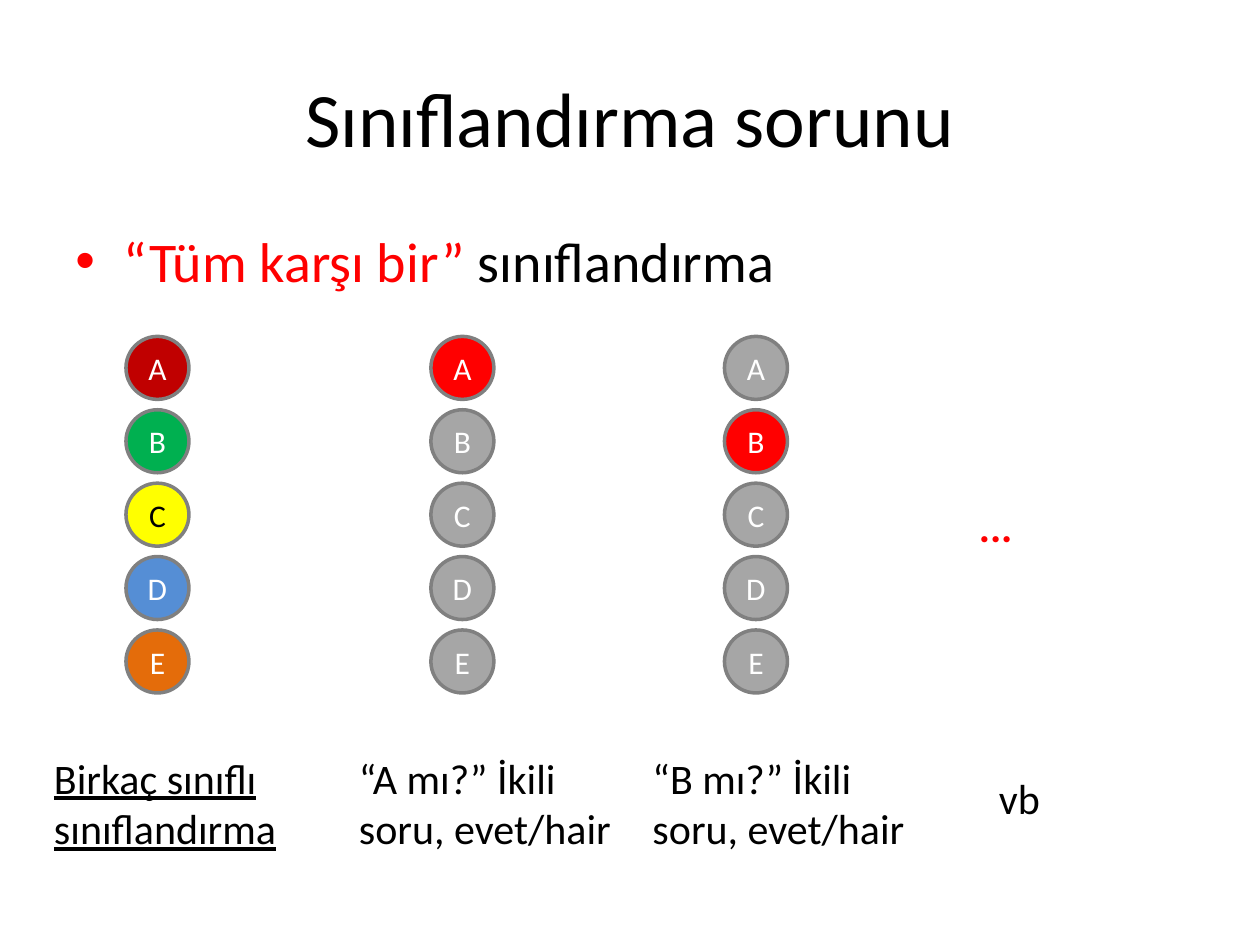
import pptx
import pptx.util
import pptx.dml.color
import pptx.enum.shapes
import pptx.enum.text
from lxml import etree

Inches = pptx.util.Inches
Pt = pptx.util.Pt
RGBColor = pptx.dml.color.RGBColor
ALIGN = pptx.enum.text.PP_ALIGN
ANCHOR = pptx.enum.text.MSO_ANCHOR
OVAL = pptx.enum.shapes.MSO_SHAPE.OVAL

BLACK = RGBColor(0, 0, 0)
WHITE = RGBColor(255, 255, 255)
RED = RGBColor(255, 0, 0)
DARK = RGBColor(0xC0, 0, 0)
GREEN = RGBColor(0, 0xB0, 0x50)
YELLOW = RGBColor(255, 255, 0)
BLUE = RGBColor(0x55, 0x8E, 0xD5)
ORANGE = RGBColor(0xE4, 0x6C, 0x0A)
GRAY = RGBColor(0xA6, 0xA6, 0xA6)
EDGE = RGBColor(0x80, 0x80, 0x80)

FONT = "Calibri"
TITLE = "Sınıflandırma sorunu"
LEAD = [("“Tüm karşı bir” ", RED), ("sınıflandırma", BLACK)]
NAMES = "ABCDE"
COLUMNS = [
    (1, "Birkaç sınıflı sınıflandırma", [DARK, GREEN, YELLOW, BLUE, ORANGE], True),
    (3.42, "“A mı?” İkili soru, evet/hair", [RED] + [GRAY] * 4, False),
    (5.75, "“B mı?” İkili soru, evet/hair", [GRAY, RED] + [GRAY] * 3, False),
]
TOP, STEP, SIZE = 2.67, 0.5825, 0.5
INDENT = 0.38


def style(run, size, color, bold=False, under=False):
    font = run.font
    font.name, font.size, font.color.rgb = FONT, Pt(size), color
    if bold:
        font.bold = True
    if under:
        font.underline = True


def write(slide, box, parts, size, **marks):
    shape = slide.shapes.add_textbox(*map(Inches, box))
    frame = shape.text_frame
    frame.word_wrap = True
    line = frame.paragraphs[0]
    for text, color in parts:
        run = line.add_run()
        run.text = text
        style(run, size, color, **marks)
    return frame


def bullet(line, color):
    props = line._p.get_or_add_pPr()
    props.set("marL", str(Inches(INDENT)))
    props.set("indent", str(-Inches(INDENT)))
    space = "{http://schemas.openxmlformats.org/drawingml/2006/main}"
    tint = etree.SubElement(props, space + "buClr")
    etree.SubElement(tint, space + "srgbClr", val=str(color))
    etree.SubElement(props, space + "buFont", typeface="Arial")
    etree.SubElement(props, space + "buChar", char="•")


def circle(slide, left, top, name, fill):
    shape = slide.shapes.add_shape(OVAL, *map(Inches, (left, top, SIZE, SIZE)))
    shape.shadow.inherit = False
    shape.fill.solid()
    shape.fill.fore_color.rgb = fill
    shape.line.color.rgb = EDGE
    shape.line.width = Pt(2)
    frame = shape.text_frame
    frame.text = name
    frame.vertical_anchor = ANCHOR.MIDDLE
    line = frame.paragraphs[0]
    line.alignment = ALIGN.CENTER
    style(line.runs[0], 18, BLACK if fill == YELLOW else WHITE)


def main():
    deck = pptx.Presentation()
    deck.slide_width, deck.slide_height = Inches(10), Inches(7.5)
    slide = deck.slides.add_slide(deck.slide_layouts[6])

    title = write(slide, (0.5, 0.3, 9, 1.25), [(TITLE, BLACK)], 44)
    title.vertical_anchor = ANCHOR.MIDDLE
    title.paragraphs[0].alignment = ALIGN.CENTER
    lead = write(slide, (0.5, 1.75, 9, 4.95), LEAD, 32)
    bullet(lead.paragraphs[0], RED)

    for left, label, fills, under in COLUMNS:
        for row, (name, fill) in enumerate(zip(NAMES, fills)):
            circle(slide, left, TOP + row * STEP, name, fill)
        box = (left - 0.67, 5.92, 2.25, 0.91)
        write(slide, box, [(label, BLACK)], 24, under=under)

    write(slide, (7.67, 3.92, 1.17, 0.5), [("...", RED)], 24, bold=True)
    write(slide, (7.83, 6.08, 1.5, 0.5), [("vb", BLACK)], 24)
    deck.save("out.pptx")


if __name__ == "__main__":
    main()
